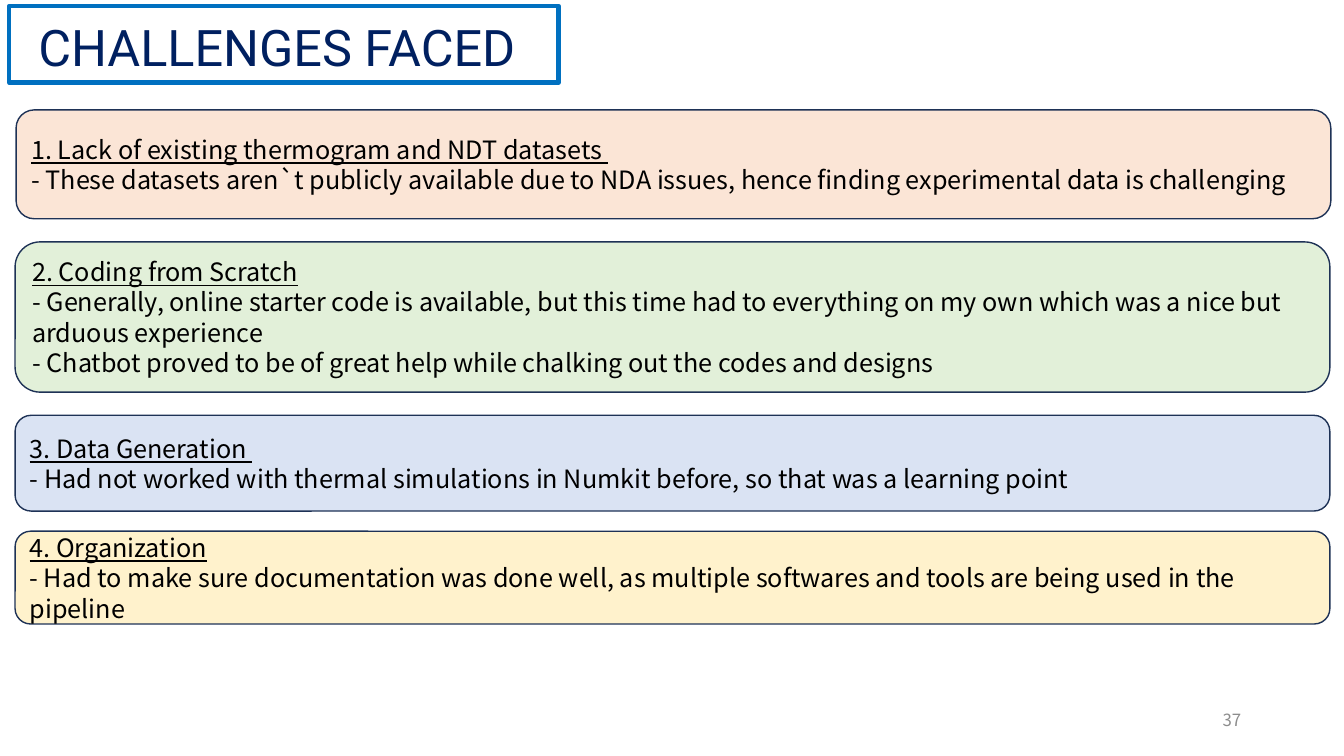
from pptx import Presentation
from pptx.dml.color import RGBColor
from pptx.enum.shapes import MSO_SHAPE as Shape
from pptx.enum.text import MSO_ANCHOR as Anchor, PP_ALIGN as Align
from pptx.util import Inches, Pt

TITLE = "CHALLENGES FACED"
PAGE_NUMBER = "37"
CHALLENGES = [
    ("peach", 0.16, 1.09, 1.08, "1. Lack of existing thermogram and NDT datasets ", [
        "- These datasets aren`t publicly available due to NDA issues, hence finding experimental data is challenging"]),
    ("green", 0.15, 2.4, 1.49, "2. Coding from Scratch", [
        "- Generally, online starter code is available, but this time had to everything on my own which was a nice but arduous experience",
        "- Chatbot proved to be of great help while chalking out the codes and designs"]),
    ("blue", 0.15, 4.12, 0.95, "3. Data Generation ", [
        "- Had not worked with thermal simulations in Numkit before, so that was a learning point"]),
    ("yellow", 0.15, 5.27, 0.92, "4. Organization", [
        "- Had to make sure documentation was done well, as multiple softwares and tools are being used in the pipeline"]),
]
CARD_WIDTH = 13.04
COLORS = {
    "peach": "FBE5D6", "green": "E2F0D9", "blue": "DAE3F3", "yellow": "FFF2CC",
    "outline": "1E3256", "frame": "0070C0", "title": "002060",
    "text": "000000", "number": "8C8C8C",
}
BODY_FONT = "Noto Sans CJK SC"


def color(name):
    return RGBColor.from_string(COLORS[name])


def write(paragraph, text, font=BODY_FONT, size=18, ink="text",
          underline=False, align=Align.LEFT, spacing=None):
    paragraph.alignment = align
    paragraph.line_spacing = spacing
    run = paragraph.add_run()
    run.text = text
    run.font.name = font
    run.font.size = Pt(size)
    run.font.underline = underline
    run.font.color.rgb = color(ink)


def add_box(slide, preset, left, top, width, height, line, weight, fill=None):
    box = slide.shapes.add_shape(
        preset, Inches(left), Inches(top), Inches(width), Inches(height))
    box.shadow.inherit = False
    if fill:
        box.fill.solid()
        box.fill.fore_color.rgb = color(fill)
    else:
        box.fill.background()
    box.line.color.rgb = color(line)
    box.line.width = Pt(weight)
    return box


def main():
    deck = Presentation()
    deck.slide_width, deck.slide_height = Inches(13.33), Inches(7.5)
    slide = deck.slides.add_slide(deck.slide_layouts[5])

    title = slide.shapes.title
    title.left, title.top = Inches(0.28), Inches(0.11)
    title.width, title.height = Inches(7.85), Inches(0.71)
    title.text_frame.vertical_anchor = Anchor.TOP
    write(title.text_frame.paragraphs[0], TITLE, font="Roboto", size=36, ink="title")
    add_box(slide, Shape.RECTANGLE, 0.09, 0.06, 5.45, 0.76, "frame", 3)

    for fill, left, top, height, heading, points in CHALLENGES:
        card = add_box(slide, Shape.ROUNDED_RECTANGLE, left, top, CARD_WIDTH, height,
                       "outline", 1, fill)
        frame = card.text_frame
        frame.word_wrap = True
        frame.vertical_anchor = Anchor.MIDDLE
        write(frame.paragraphs[0], heading, underline=True, spacing=Pt(21.7))
        for point in points:
            write(frame.add_paragraph(), point, spacing=Pt(21.7))

    number = slide.shapes.add_textbox(Inches(9.41), Inches(6.94), Inches(3), Inches(0.4))
    number.text_frame.word_wrap = True
    number.text_frame.vertical_anchor = Anchor.MIDDLE
    write(number.text_frame.paragraphs[0], PAGE_NUMBER, size=12, ink="number",
          align=Align.RIGHT)

    deck.save("out.pptx")


if __name__ == "__main__":
    main()
